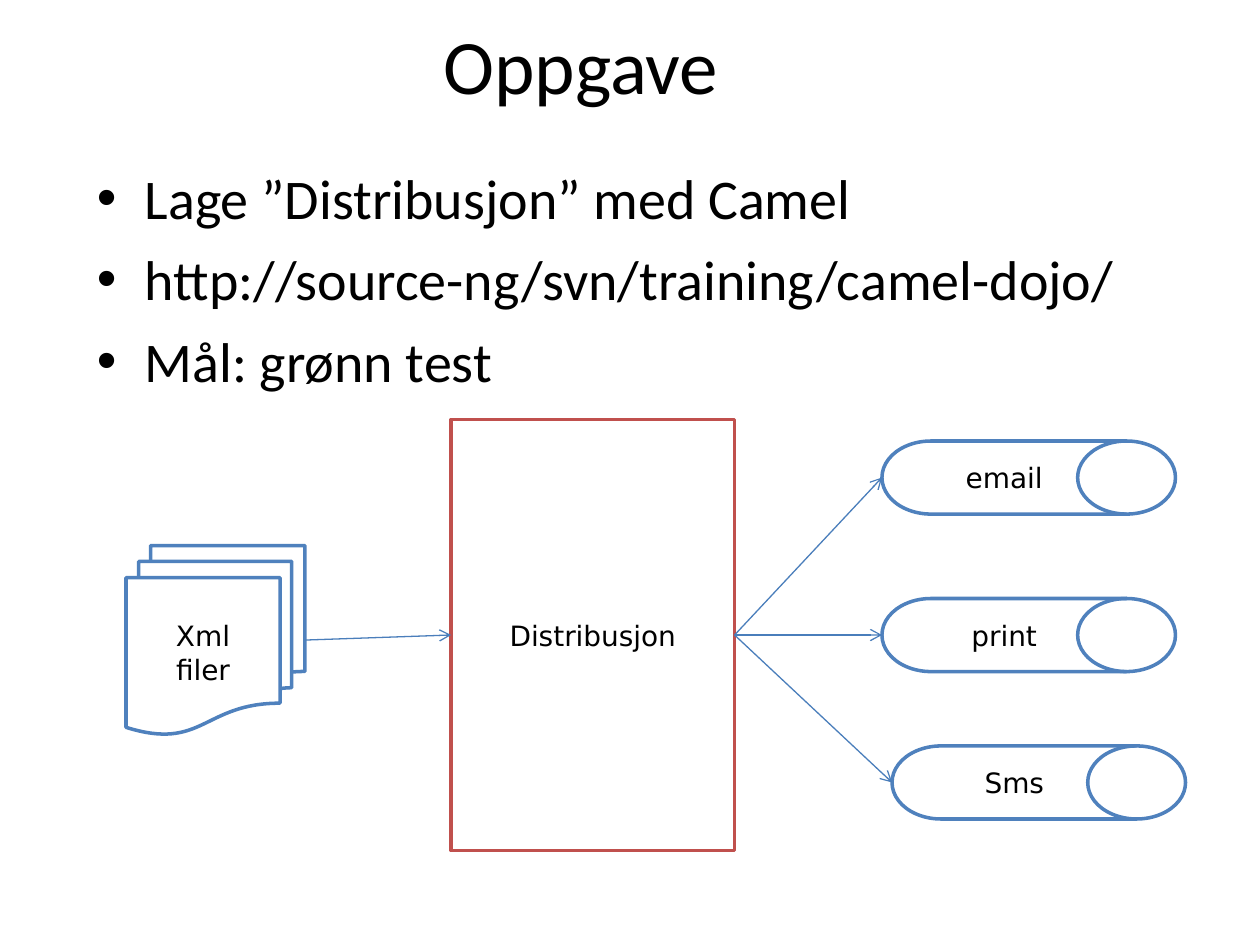
import dataclasses

import pptx
import pptx.dml.color
import pptx.enum.shapes
import pptx.enum.text
import pptx.oxml
import pptx.oxml.ns
import pptx.util
from pptx.util import Inches

SHAPES = pptx.enum.shapes.MSO_SHAPE
ALIGN = pptx.enum.text.PP_ALIGN
ANCHOR = pptx.enum.text.MSO_ANCHOR
TOP, LEFT, BOTTOM, RIGHT = range(4)


@dataclasses.dataclass(frozen=True)
class Theme:
    ink: str = "000000"
    paper: str = "FFFFFF"
    process: str = "C0504D"
    endpoint: str = "4F81BD"
    flow: str = "4A7EBB"
    heading_font: str = "Calibri"
    label_font: str = "DejaVu Sans"
    title_size: int = 44
    body_size: int = 32
    label_size: int = 16
    outline: float = 2
    flow_width: float = 0.75


THEME = Theme()


def rgb(value):
    return pptx.dml.color.RGBColor.from_string(value)


def add_xml(parent, tag, **attributes):
    child = pptx.oxml.parse_xml(f"<a:{tag} {pptx.oxml.ns.nsdecls('a')}/>")
    for name, value in attributes.items():
        child.set(name, value)
    parent.append(child)
    return child


def add_bullet(paragraph):
    properties = paragraph._p.get_or_add_pPr()
    properties.set("marL", str(Inches(0.38)))
    properties.set("indent", str(-Inches(0.38)))
    add_xml(properties, "buFont", typeface="Arial")
    add_xml(properties, "buChar", char="•")


def write_text(frame, text, *, size, font, align=ALIGN.LEFT,
               anchor=ANCHOR.TOP, bullets=False, space_before=0):
    frame.word_wrap = True
    frame.vertical_anchor = anchor
    frame.margin_left = frame.margin_right = Inches(0.1)
    frame.margin_top = frame.margin_bottom = Inches(0.05)
    for number, line in enumerate(text.split("\n")):
        paragraph = frame.add_paragraph() if number else frame.paragraphs[0]
        paragraph.alignment = align
        paragraph.space_before = pptx.util.Pt(space_before)
        if bullets:
            add_bullet(paragraph)
        run = paragraph.add_run()
        run.text = line
        run.font.size = pptx.util.Pt(size)
        run.font.name = font
        run.font.color.rgb = rgb(THEME.ink)


def add_text(slide, text, box, **text_format):
    frame = slide.shapes.add_textbox(*map(Inches, box)).text_frame
    write_text(frame, text, **text_format)


def add_node(slide, kind, text, box, color):
    node = slide.shapes.add_shape(kind, *map(Inches, box))
    node.shadow.inherit = False
    node.fill.solid()
    node.fill.fore_color.rgb = rgb(THEME.paper)
    node.line.color.rgb = rgb(color)
    node.line.width = pptx.util.Pt(THEME.outline)
    write_text(node.text_frame, text, size=THEME.label_size,
               font=THEME.label_font, align=ALIGN.CENTER,
               anchor=ANCHOR.MIDDLE)
    return node


def add_flow(slide, source, target):
    flow = slide.shapes.add_connector(
        pptx.enum.shapes.MSO_CONNECTOR.STRAIGHT, 0, 0, 0, 0)
    flow.begin_connect(source, RIGHT)
    flow.end_connect(target, LEFT)
    flow.line.color.rgb = rgb(THEME.flow)
    flow.line.width = pptx.util.Pt(THEME.flow_width)
    add_xml(flow.line._get_or_add_ln(), "tailEnd", type="arrow")
    add_xml(flow._element.spPr, "effectLst")


def main():
    deck = pptx.Presentation()
    deck.slide_width, deck.slide_height = Inches(10), Inches(7.5)
    slide = deck.slides.add_slide(deck.slide_layouts[6])

    add_text(slide, "Oppgave", (1.42, 0.25, 6.38, 0.51),
             size=THEME.title_size, font=THEME.heading_font,
             align=ALIGN.CENTER, anchor=ANCHOR.MIDDLE)
    add_text(slide,
             "Lage ”Distribusjon” med Camel\n"
             "http://source-ng/svn/training/camel-dojo/\n"
             "Mål: grønn test",
             (0.67, 1.25, 9, 6), size=THEME.body_size,
             font=THEME.heading_font, bullets=True, space_before=8)

    distribution = add_node(slide, SHAPES.RECTANGLE, "Distribusjon",
                            (3.58, 3.33, 2.25, 3.42), THEME.process)
    channels = [
        add_node(slide, SHAPES.FLOWCHART_DIRECT_ACCESS_STORAGE, name,
                 (left, top, 2.33, 0.58), THEME.endpoint)
        for name, left, top in (("email", 7, 3.5), ("print", 7, 4.75),
                                ("Sms", 7.08, 5.92))
    ]
    xml_files = add_node(slide, SHAPES.FLOWCHART_MULTIDOCUMENT, "Xml\nfiler",
                         (1, 4.33, 1.42, 1.5), THEME.endpoint)

    add_flow(slide, xml_files, distribution)
    for channel in channels:
        add_flow(slide, distribution, channel)

    deck.save("out.pptx")


if __name__ == "__main__":
    main()
